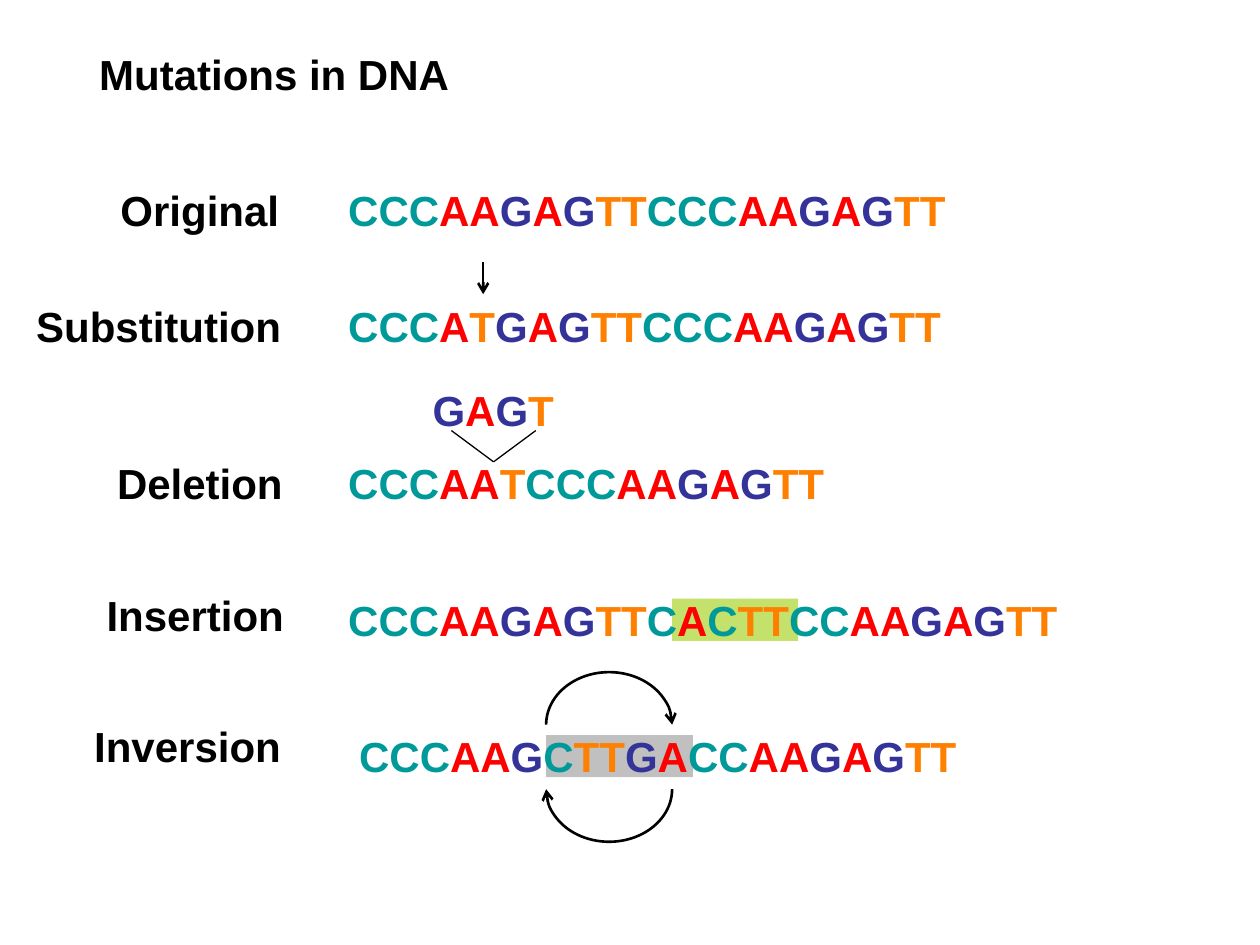
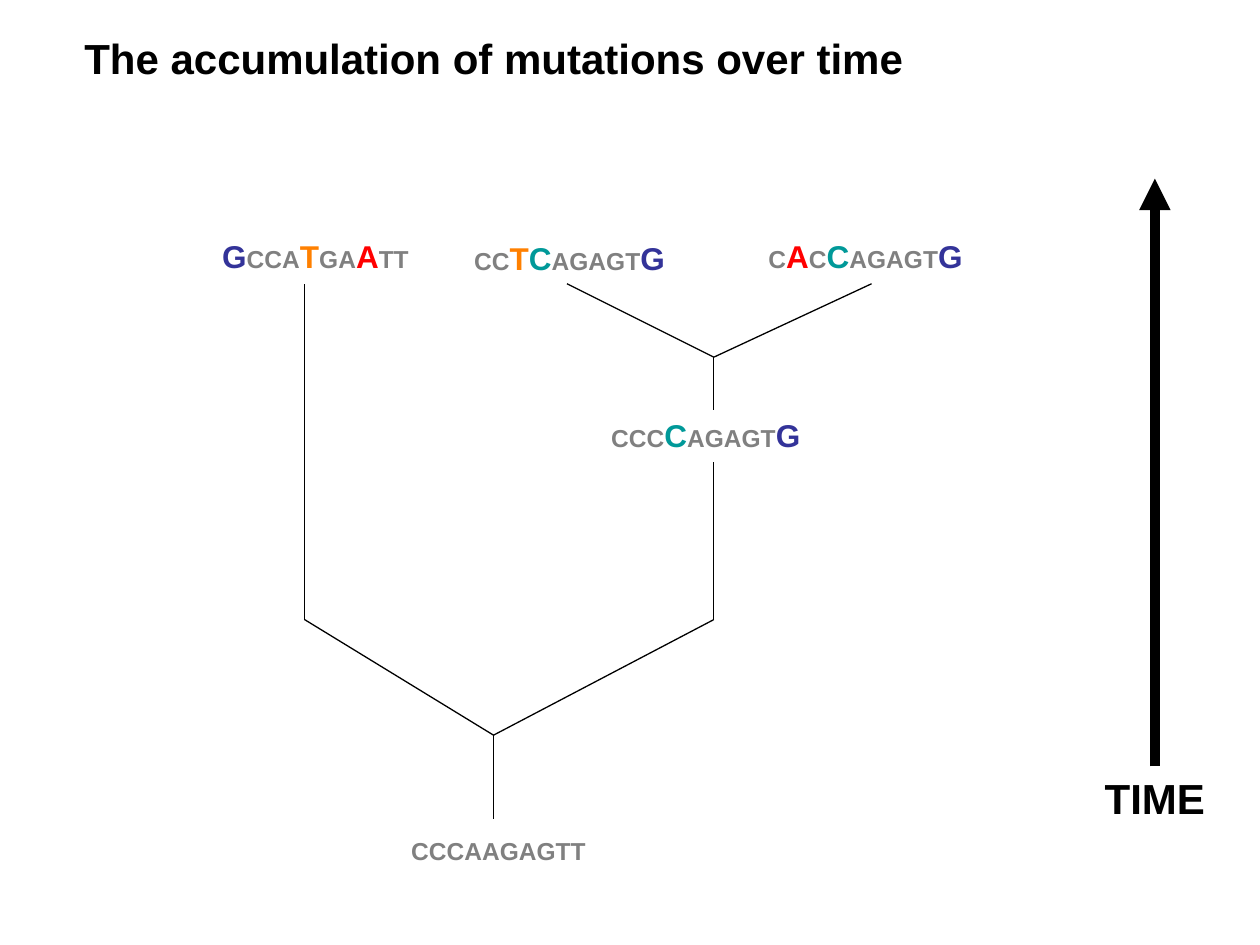
"""Build two slides on DNA mutations and how they add up over time."""
import itertools
from typing import NamedTuple

import lxml.etree
import pptx
import pptx.dml.color
import pptx.enum.shapes
import pptx.enum.text
import pptx.oxml.ns
import pptx.shapes.autoshape
import pptx.shapes.connector
import pptx.slide
import pptx.util

Cm = pptx.util.Cm
Pt = pptx.util.Pt
Color = pptx.dml.color.RGBColor
Kind = pptx.enum.shapes.MSO_SHAPE
Align = pptx.enum.text.PP_ALIGN
Slide = pptx.slide.Slide
Shape = pptx.shapes.autoshape.Shape
Line = pptx.shapes.connector.Connector
qn = pptx.oxml.ns.qn

BLACK = Color(0x00, 0x00, 0x00)
GRAY = Color(0x80, 0x80, 0x80)
LIME = Color(0x99, 0xCC, 0x00)
TEAL = Color(0x00, 0x99, 0x99)
RED = Color(0xFF, 0x00, 0x00)
BLUE = Color(0x33, 0x33, 0x99)
ORANGE = Color(0xFF, 0x80, 0x00)
BASES = {"C": TEAL, "A": RED, "G": BLUE, "T": ORANGE}
FONT = "Arial"
ROOT = "CCCAAGAGTT"
BIG, MID, SMALL = 24, 18, 14
THIN, BOLD, THICK = 0.75, 1.5, 6


class Label(NamedTuple):
    """Plain black text at a place."""
    text: str
    left: float
    top: float
    width: float
    wrap: bool = False
    align: Align = Align.LEFT


class Strand(NamedTuple):
    """A run of DNA bases at a place."""
    bases: str
    left: float
    top: float
    width: float
    height: float = 1.27


class Mark(NamedTuple):
    """A see-through block behind some bases."""
    left: float
    top: float
    width: float
    color: Color
    alpha: int


class Arc(NamedTuple):
    """Half of an oval, drawn clockwise from start to end."""
    top: float
    start: float
    end: float


class Edge(NamedTuple):
    """A straight line between two points."""
    start: tuple[float, float]
    end: tuple[float, float]
    width: float = THIN
    head: str = ""


TITLES = [
    Label("Mutations in DNA", 1.75, 0.85, 7.77, True),
    Label("The accumulation of mutations over time", 1.45, 0.53, 17.02),
]
LABELS = [
    Label("Original", 2.18, 3.6, 7.34, True),
    Label("Substitution", 0.48, 5.93, 5.44),
    Label("Deletion", 2.11, 9.1, 3.84),
    Label("Insertion", 1.9, 11.76, 4.09),
    Label("Inversion", 1.65, 14.4, 4.27),
]
STRANDS = [
    Strand("CCCAAGAGTTCCCAAGAGTT", 6.77, 3.6, 17.57),
    Strand("CCCATGAGTTCCCAAGAGTT", 6.77, 5.93, 17.57),
    Strand("GAGT", 8.47, 7.62, 2.96),
    Strand("CCCAATCCCAAGAGTT", 6.77, 9.1, 17.57),
    Strand("CCCAAGAGTTCACTTCCAAGAGTT", 6.77, 11.85, 17.57),
    Strand("CCCAAGCTTGACCAAGAGTT", 6.99, 14.6, 17.57),
]
MARKS = [
    Mark(11.01, 14.82, 2.96, GRAY, 49),
    Mark(13.55, 12.07, 2.54, LIME, 58),
]
ARCS = [Arc(13.55, 180, 0), Arc(14.85, 0, 180)]
CUT = (9.95, 9.31)
SIGNS = [
    Edge((9.74, 5.29), (9.74, 5.93), BOLD, "arrow"),
    Edge(CUT, (9.1, 8.68)),
    Edge(CUT, (10.8, 8.68)),
]

LEAVES = [
    Strand(ROOT, 8.04, 16.72, 4.45, 0.86),
    Strand("GCCATGAATT", 4.23, 4.66, 7.83, 1.02),
    Strand("CCTCAGAGTG", 9.31, 4.7, 4.45, 1.02),
    Strand("CACCAGAGTG", 15.24, 4.66, 4.45, 1.02),
    Strand("CCCCAGAGTG", 12.07, 8.26, 4.45, 1.02),
]
WEST, STEM, EAST = 6.14, 9.95, 14.39
TIP, BEND = 5.72, 12.49
BASE = (STEM, 14.82)
FORK = (EAST, 7.2)
TREE = [
    Edge(BASE, (STEM, 16.51)),
    Edge(BASE, (WEST, BEND)),
    Edge(BASE, (EAST, BEND)),
    Edge((WEST, BEND), (WEST, TIP)),
    Edge((EAST, BEND), (EAST, 9.31)),
    Edge(FORK, (EAST, 8.26)),
    Edge(FORK, (11.43, TIP)),
    Edge(FORK, (17.57, TIP)),
]
TIME = Label("TIME", 21.78, 15.45, 3, True, Align.CENTER)
AXIS = Edge((23.28, 15.45), (23.28, 3.6), THICK, "triangle")


def write(slide: Slide, text: str, *, left: float, top: float, width: float,
          height: float = 1.27, wrap: bool = True, align: Align = Align.LEFT,
          looks: list[tuple[Color, int]] | None = None) -> Shape:
    """Add bold text, with a colour and size for each letter if given."""
    box = slide.shapes.add_textbox(Cm(left), Cm(top), Cm(width), Cm(height))
    frame = box.text_frame
    frame.word_wrap = wrap
    frame.auto_size = pptx.enum.text.MSO_AUTO_SIZE.SHAPE_TO_FIT_TEXT
    frame.paragraphs[0].alignment = align
    pairs = zip(text, looks or [(BLACK, BIG)] * len(text))
    for (color, size), group in itertools.groupby(pairs, key=lambda pair: pair[1]):
        run = frame.paragraphs[0].add_run()
        run.text = "".join(letter for letter, _ in group)
        run.font.name = FONT
        run.font.bold = True
        run.font.size = Pt(size)
        run.font.color.rgb = color
    return box


def draw_label(slide: Slide, label: Label) -> Shape:
    """Add a plain label."""
    return write(slide, **label._asdict())


def draw_strand(slide: Slide, strand: Strand, root: str = "") -> None:
    """Add bases in colour, or only those that differ from the root."""
    looks = [(BASES[base], BIG) for base in strand.bases]
    if root:
        looks = [(GRAY, SMALL) if base == old else (BASES[base], MID)
                 for base, old in zip(strand.bases, root)]
    write(slide, strand.bases, left=strand.left, top=strand.top,
          width=strand.width, height=strand.height, looks=looks)


def draw_mark(slide: Slide, mark: Mark) -> None:
    """Add a see-through block."""
    block = slide.shapes.add_shape(Kind.RECTANGLE, Cm(mark.left), Cm(mark.top),
                                   Cm(mark.width), Cm(0.85))
    block.shadow.inherit = False
    block.fill.solid()
    block.fill.fore_color.rgb = mark.color
    block.line.fill.background()
    tint = block.element.spPr.find(".//" + qn("a:srgbClr"))
    lxml.etree.SubElement(tint, qn("a:alpha"), val=str(mark.alpha * 1000))


def ink(item: Shape | Line, width: float, head: str) -> None:
    """Set a black outline with an optional arrowhead at its end."""
    item.line.color.rgb = BLACK
    item.line.width = Pt(width)
    if head:
        outline = item.element.spPr.find(qn("a:ln"))
        lxml.etree.SubElement(outline, qn("a:tailEnd"), type=head)


def draw_arc(slide: Slide, arc: Arc) -> None:
    """Add a half oval that ends in an arrowhead."""
    curve = slide.shapes.add_shape(Kind.ARC, Cm(11.01), Cm(arc.top), Cm(2.54), Cm(2.12))
    for index, angle in enumerate((arc.start, arc.end)):
        curve.adjustments[index] = angle * 0.6
    curve.fill.background()
    ink(curve, BOLD, "arrow")
    curve.shadow.inherit = False


def draw_edge(slide: Slide, edge: Edge) -> Line:
    """Add a straight line."""
    line = slide.shapes.add_connector(pptx.enum.shapes.MSO_CONNECTOR.STRAIGHT,
                                      *map(Cm, edge.start + edge.end))
    ink(line, edge.width, edge.head)
    lxml.etree.SubElement(line.element.spPr, qn("a:effectLst"))
    return line


def draw_types(slide: Slide) -> None:
    """Fill the slide that shows each type of mutation."""
    for mark in MARKS:
        draw_mark(slide, mark)
    for label in LABELS:
        draw_label(slide, label)
    for strand in STRANDS:
        draw_strand(slide, strand)
    for sign in SIGNS:
        draw_edge(slide, sign)
    for arc in ARCS:
        draw_arc(slide, arc)


def draw_tree(slide: Slide) -> None:
    """Fill the slide that shows the tree and its time axis."""
    for leaf in LEAVES:
        draw_strand(slide, leaf, ROOT)
    for edge in TREE:
        draw_edge(slide, edge)
    time = draw_label(slide, TIME)
    draw_edge(slide, AXIS).begin_connect(time, 0)


def main() -> None:
    """Build and save the deck."""
    deck = pptx.Presentation()
    deck.slide_width, deck.slide_height = Cm(25.4), Cm(19.05)
    for title, draw in zip(TITLES, (draw_types, draw_tree)):
        slide = deck.slides.add_slide(deck.slide_layouts[6])
        draw_label(slide, title)
        draw(slide)
    deck.save("out.pptx")


if __name__ == "__main__":
    main()
